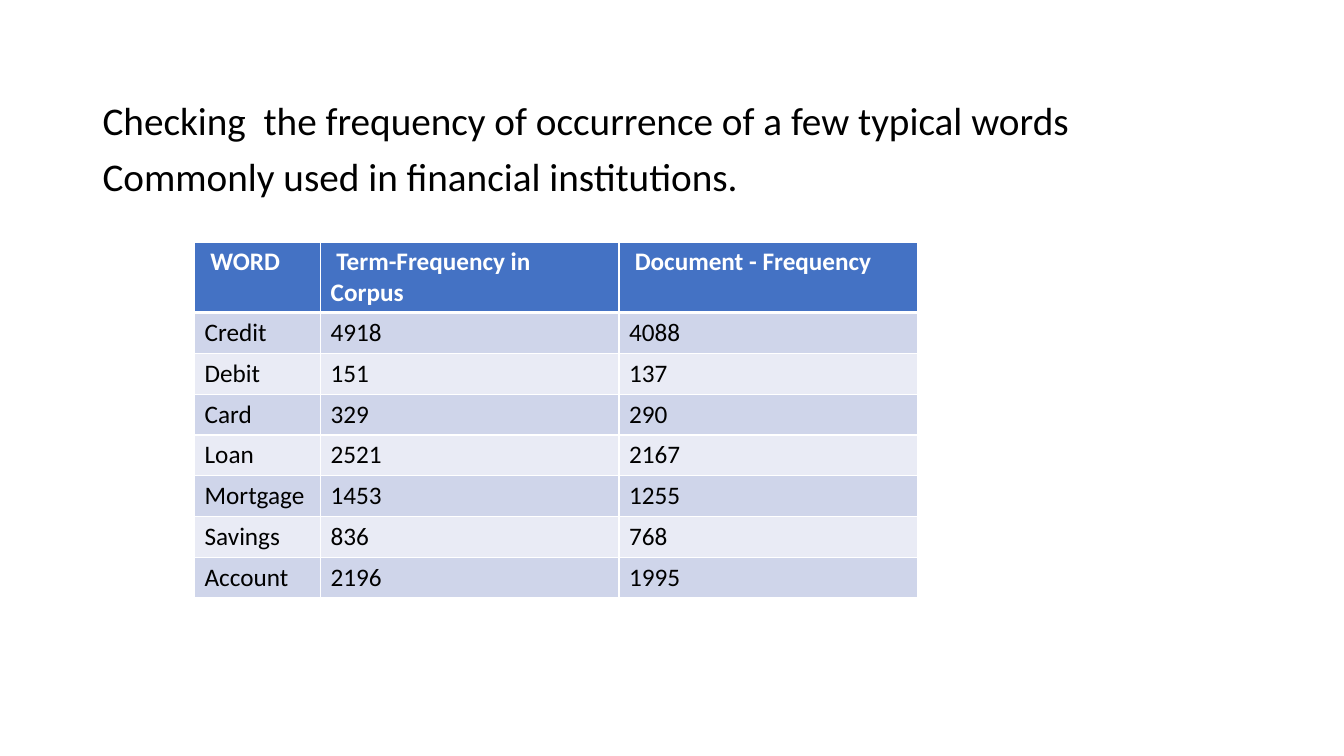
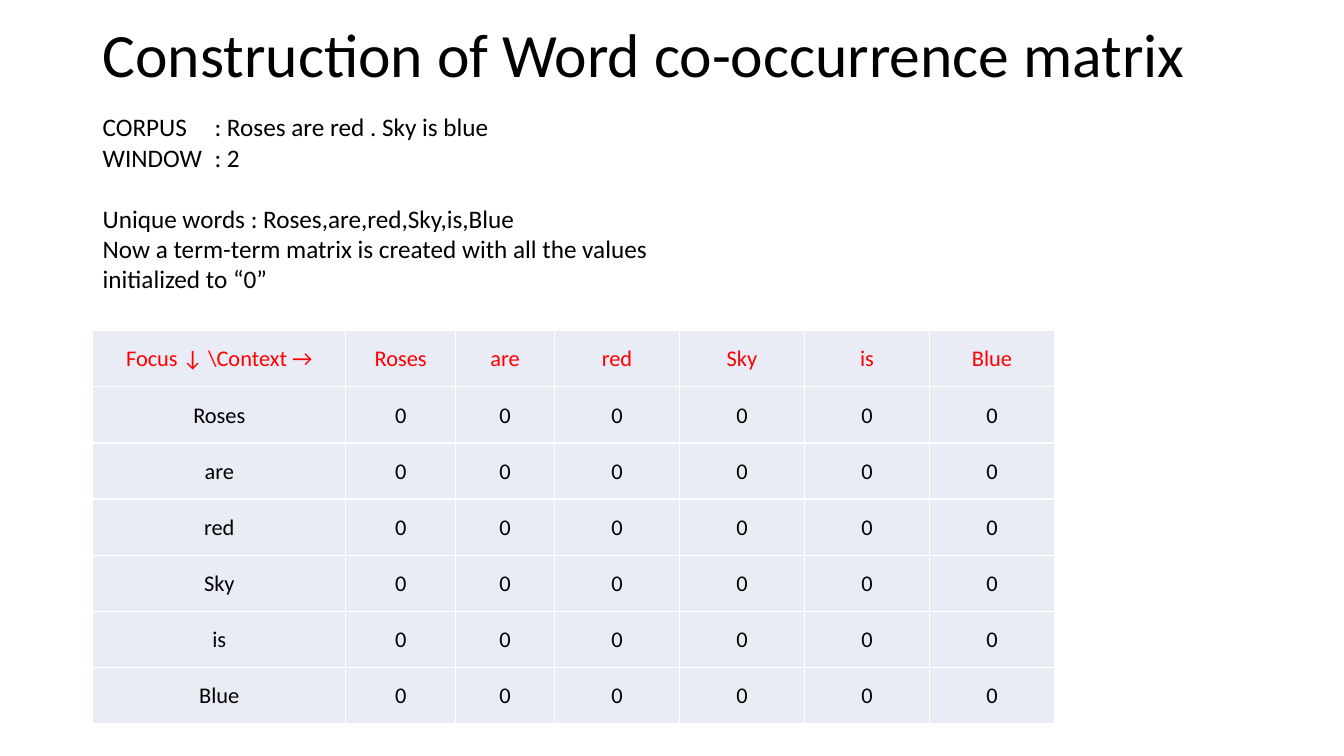
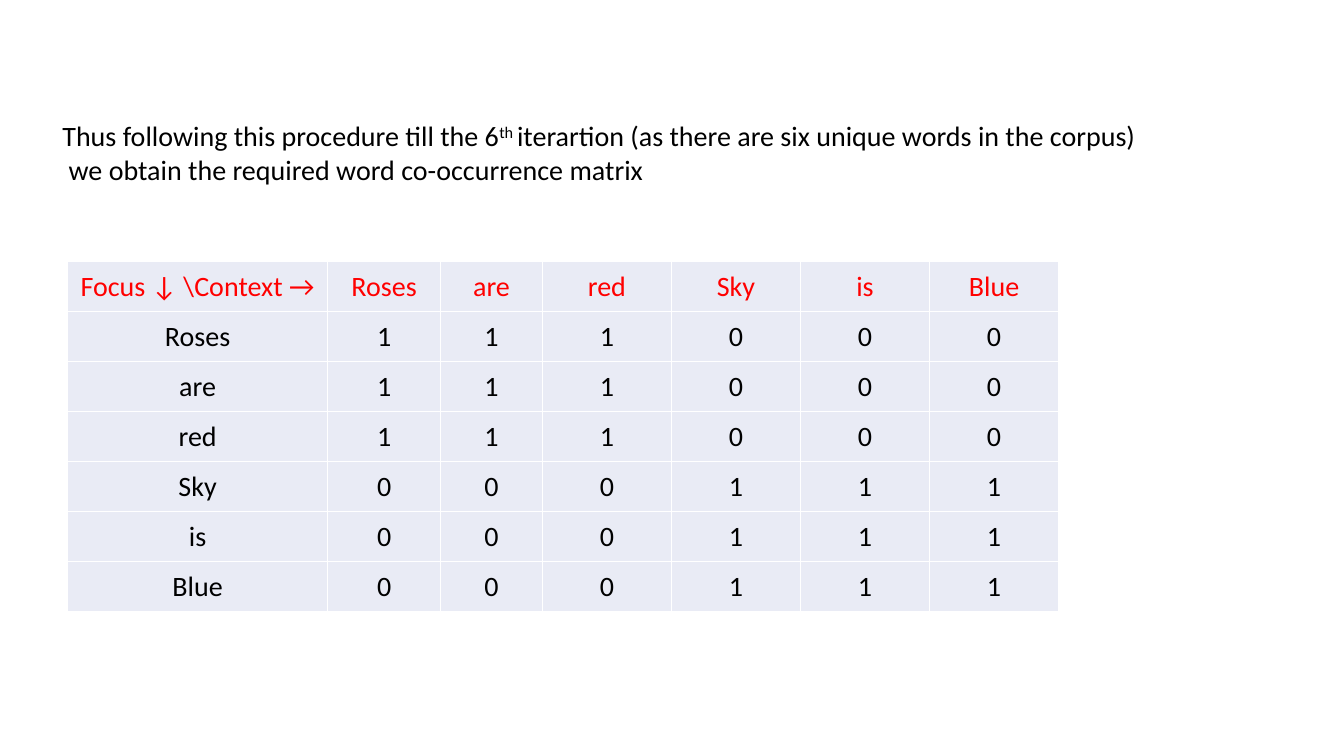
"""Build three slides on word frequency and the word co-occurrence matrix."""
from dataclasses import dataclass

from lxml.etree import SubElement
from pptx import Presentation
from pptx.dml.color import RGBColor
from pptx.enum.text import MSO_ANCHOR, PP_ALIGN
from pptx.oxml.ns import qn
from pptx.slide import Slide
from pptx.table import _Cell
from pptx.text.text import TextFrame
from pptx.util import Inches, Pt

FONT = "Calibri"
BLACK, WHITE, RED = "000000", "FFFFFF", "FF0000"
BLUE, BAND_DARK, BAND_LIGHT = "4472C4", "CFD5EA", "E9EBF5"


@dataclass(frozen=True)
class Span:
    text: str
    baseline: int = 0


@dataclass(frozen=True)
class Line:
    spans: tuple[Span, ...]
    space_before: float = 0
    tab: float = 0


@dataclass(frozen=True)
class TableStyle:
    size: float
    header_color: str
    header_fill: str
    bands: tuple[str, ...]
    header_bold: bool = False
    header_rule: float = 1
    centered: bool = False


@dataclass(frozen=True)
class Grid:
    left: float
    top: float
    height: float
    columns: tuple[float, ...]
    rows: list[list[str]]
    style: TableStyle


def rgb(value: str) -> RGBColor:
    """Turn a hex string into a colour."""
    return RGBColor.from_string(value)


def line(text: str, **layout: float) -> Line:
    """Make a line of one plain span."""
    return Line((Span(text),), **layout)


def write(frame: TextFrame, lines: list[Line], *, size: float, color: str = BLACK,
          bold: bool = False, align: PP_ALIGN = PP_ALIGN.LEFT, spacing: float = 1.0) -> None:
    """Fill a text frame with formatted lines."""
    for number, content in enumerate(lines):
        paragraph = frame.add_paragraph() if number else frame.paragraphs[0]
        paragraph.alignment = align
        paragraph.line_spacing = spacing
        paragraph.space_before = Pt(content.space_before)
        if content.tab:
            stops = SubElement(paragraph._p.get_or_add_pPr(), qn("a:tabLst"))
            SubElement(stops, qn("a:tab"), pos=str(Inches(content.tab)), algn="l")
        for span in content.spans:
            run = paragraph.add_run()
            run.text = span.text
            run.font.name, run.font.size, run.font.bold = FONT, Pt(size), bold
            run.font.color.rgb = rgb(color)
            if span.baseline:
                run._r.get_or_add_rPr().set("baseline", str(span.baseline * 1000))


def add_text(slide: Slide, left: float, top: float, width: float, height: float,
             lines: list[Line], *, anchor: MSO_ANCHOR = MSO_ANCHOR.TOP, **text_format) -> None:
    """Place a wrapped text box."""
    box = slide.shapes.add_textbox(Inches(left), Inches(top), Inches(width), Inches(height))
    box.text_frame.word_wrap = True
    box.text_frame.vertical_anchor = anchor
    write(box.text_frame, lines, **text_format)


def set_borders(cell: _Cell, top: float, bottom: float) -> None:
    """Draw white rules round a cell."""
    properties = cell._tc.get_or_add_tcPr()
    for side, width in (("lnL", 1), ("lnR", 1), ("lnT", top), ("lnB", bottom)):
        rule = SubElement(properties, qn(f"a:{side}"), w=str(Pt(width)))
        SubElement(SubElement(rule, qn("a:solidFill")), qn("a:srgbClr"), val=WHITE)


def add_grid(slide: Slide, grid: Grid) -> None:
    """Draw a table with a header row and banded body rows."""
    style = grid.style
    table = slide.shapes.add_table(
        len(grid.rows), len(grid.columns), Inches(grid.left), Inches(grid.top),
        Inches(sum(grid.columns)), Inches(grid.height)).table
    table.horz_banding = False
    for column, width in zip(table.columns, grid.columns):
        column.width = Inches(width)
    for row, values in enumerate(grid.rows):
        header = row == 0
        fill = style.header_fill if header else style.bands[(row - 1) % len(style.bands)]
        for column, value in enumerate(values):
            cell = table.cell(row, column)
            set_borders(cell, style.header_rule if row == 1 else 1,
                        style.header_rule if header else 1)
            cell.fill.solid()
            cell.fill.fore_color.rgb = rgb(fill)
            if style.centered:
                cell.vertical_anchor = MSO_ANCHOR.MIDDLE
                cell.margin_left = cell.margin_right = cell.margin_top = Inches(0.01)
                cell.margin_bottom = Inches(0)
            write(cell.text_frame, [line(value)], size=style.size,
                  color=style.header_color if header else BLACK,
                  bold=header and style.header_bold,
                  align=PP_ALIGN.CENTER if style.centered else PP_ALIGN.LEFT)


def matrix_style(size: float) -> TableStyle:
    """Give the look shared by the co-occurrence matrices."""
    return TableStyle(size, RED, BAND_LIGHT, (BAND_LIGHT,), centered=True)


def matrix_rows(counts: list[list[int]]) -> list[list[str]]:
    """Label a square of counts with the focus and context words."""
    body = [[word, *map(str, row)] for word, row in zip(WORDS, counts)]
    return [["Focus ↓ \\Context →", *WORDS], *body]


SENTENCES = (("Roses", "are", "red"), ("Sky", "is", "Blue"))
WORDS = [word for sentence in SENTENCES for word in sentence]
EMPTY_COUNTS = [[0] * len(WORDS) for _ in WORDS]
FINAL_COUNTS = [[int(context in sentence) for context in WORDS]
                for sentence in SENTENCES for _ in sentence]
FREQUENCIES = [
    [" WORD", " Term-Frequency in Corpus", " Document - Frequency"],
    ["Credit", "4918", "4088"],
    ["Debit", "151", "137"],
    ["Card", "329", "290"],
    ["Loan", "2521", "2167"],
    ["Mortgage", "1453", "1255"],
    ["Savings", "836", "768"],
    ["Account", "2196", "1995"],
]
FREQUENCY_STYLE = TableStyle(18, WHITE, BLUE, (BAND_DARK, BAND_LIGHT),
                             header_bold=True, header_rule=3)


def frequency_slide(slide: Slide) -> None:
    """Show how often financial words occur."""
    add_text(slide, 0.92, 0.96, 11.5, 1.2, [
        line("Checking  the frequency of occurrence of a few typical words", space_before=10),
        line("Commonly used in financial institutions.", space_before=10),
    ], size=28, spacing=0.9)
    add_grid(slide, Grid(1.93, 2.4, 3.24, (1.25, 2.96, 2.96), FREQUENCIES, FREQUENCY_STYLE))


def construction_slide(slide: Slide) -> None:
    """Show the corpus and the matrix of zeros."""
    add_text(slide, 0.92, 0, 11.5, 1.15, [line("Construction of Word co-occurrence matrix")],
             size=44, spacing=0.9, anchor=MSO_ANCHOR.MIDDLE)
    add_text(slide, 0.92, 1.06, 6.25, 2.22, [
        line("CORPUS\t: Roses are red . Sky is blue", tab=1.11),
        line("WINDOW\t: 2", tab=1.11),
        line("Unique words : Roses,are,red,Sky,is,Blue", space_before=22),
        line("Now a term-term matrix is created with all the values initialized to “0”"),
    ], size=18)
    add_grid(slide, Grid(0.92, 3.28, 3.9, (2.51, 1.09, 0.98) + (1.24,) * 4,
                         matrix_rows(EMPTY_COUNTS), matrix_style(16)))


def result_slide(slide: Slide) -> None:
    """Show the finished matrix."""
    add_text(slide, 0.52, 1.13, 12.59, 0.77, [
        Line((Span("Thus following this procedure till the 6"), Span("th ", baseline=30),
              Span("iterartion (as there are six unique words in the corpus)"))),
        line(" we obtain the required word co-occurrence matrix"),
    ], size=20)
    add_grid(slide, Grid(0.67, 2.59, 3.48, (2.58, 1.12, 1.01) + (1.28,) * 4,
                         matrix_rows(FINAL_COUNTS), matrix_style(20)))


def main() -> None:
    """Build and save the presentation."""
    deck = Presentation()
    deck.slide_width, deck.slide_height = Inches(13.33), Inches(7.5)
    for build in (frequency_slide, construction_slide, result_slide):
        build(deck.slides.add_slide(deck.slide_layouts[6]))
    deck.save("out.pptx")


main()
